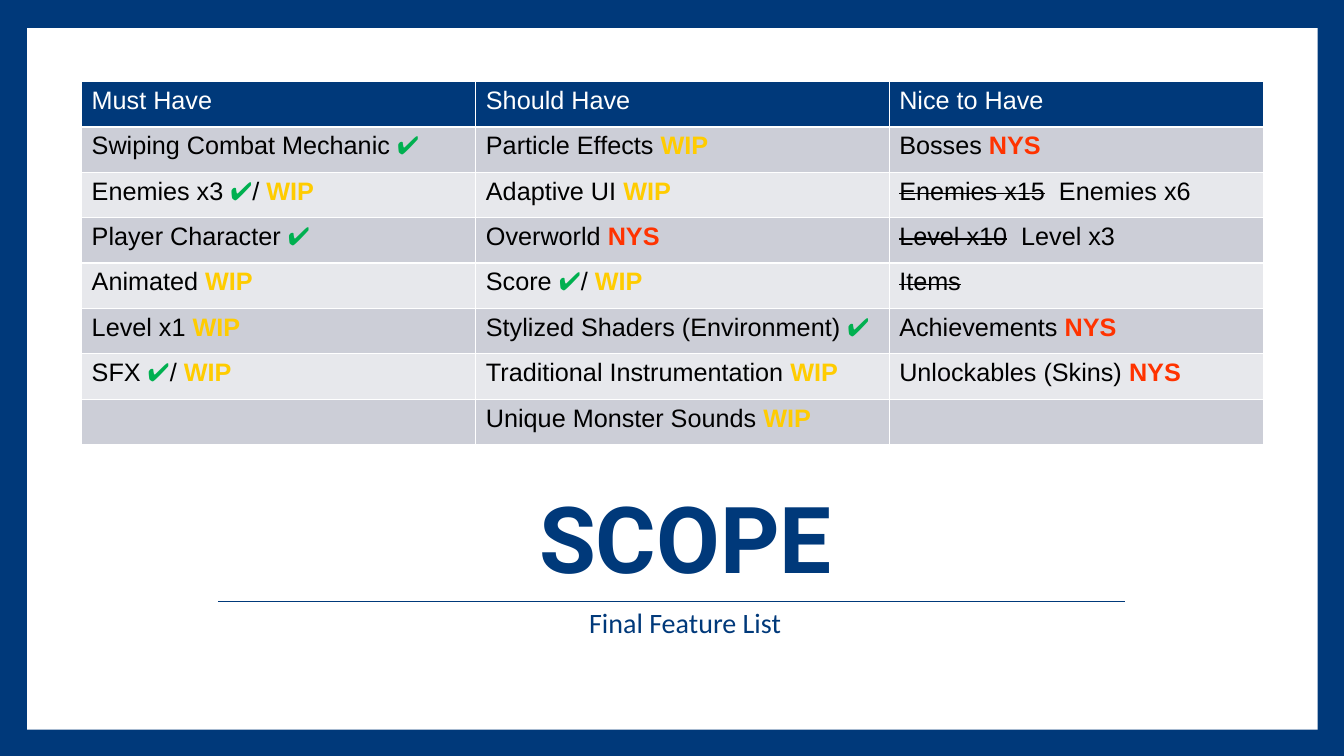
from lxml.etree import SubElement
from pptx import Presentation
from pptx.dml.color import RGBColor
from pptx.enum.shapes import MSO_CONNECTOR as Connector, MSO_SHAPE as Shape
from pptx.enum.text import MSO_ANCHOR as Anchor, MSO_AUTO_SIZE as AutoSize, PP_ALIGN as Align
from pptx.oxml.ns import qn
from pptx.util import Inches, Pt

NAVY, WHITE, BLACK = "00397A", "FFFFFF", "000000"
BANDS = ["CCCED7", "E7E8EC"]
DONE, WIP, NYS = "✔", "WIP", "NYS"
STATUS_COLORS = {DONE: "00B050", WIP: "FFCC00", NYS: "FF3300"}
DROPPED = {"Enemies x15", "Level x10", "Items"}
COLUMN_WIDTHS = [3.91, 4.1, 3.71]
ROW_HEIGHT = 0.45
FEATURES = [
    [["Must Have"], ["Should Have"], ["Nice to Have"]],
    [["Swiping Combat Mechanic ", DONE], ["Particle Effects ", WIP], ["Bosses ", NYS]],
    [["Enemies x3 ", DONE, "/ ", WIP], ["Adaptive UI ", WIP], ["Enemies x15", "  Enemies x6"]],
    [["Player Character ", DONE], ["Overworld ", NYS], ["Level x10", "  Level x3"]],
    [["Animated ", WIP], ["Score ", DONE, "/ ", WIP], ["Items"]],
    [["Level x1 ", WIP], ["Stylized Shaders (Environment) ", DONE], ["Achievements ", NYS]],
    [["SFX ", DONE, "/ ", WIP], ["Traditional Instrumentation ", WIP], ["Unlockables (Skins) ", NYS]],
    [[], ["Unique Monster Sounds ", WIP], []],
]


def paint(color_format, color):
    color_format.rgb = RGBColor.from_string(color)


def fill_solid(fill, color):
    fill.solid()
    paint(fill.fore_color, color)


def place(shape, left, top, width, height):
    shape.left, shape.top = Inches(left), Inches(top)
    shape.width, shape.height = Inches(width), Inches(height)


def add_panel(slide, left, top, width, height, color):
    panel = slide.shapes.add_shape(
        Shape.RECTANGLE, Inches(left), Inches(top), Inches(width), Inches(height))
    panel.shadow.inherit = False
    fill_solid(panel.fill, color)
    panel.line.fill.background()


def add_rule(slide, left, right, y):
    rule = slide.shapes.add_connector(
        Connector.STRAIGHT, Inches(left), Inches(y), Inches(right), Inches(y))
    paint(rule.line.color, NAVY)
    rule.line.width = Pt(0.79)
    SubElement(rule.element.spPr, qn("a:effectLst"))


def write_heading(shape, text, font_name, size, bold, spacing, anchor):
    frame = shape.text_frame
    frame.word_wrap = True
    frame.auto_size = AutoSize.NONE
    frame.vertical_anchor = anchor
    paragraph = frame.paragraphs[0]
    paragraph.text = text
    paragraph.alignment = Align.CENTER
    paragraph.line_spacing = spacing
    font = paragraph.font
    font.name, font.size, font.bold = font_name, Pt(size), bold
    paint(font.color, NAVY)


def write_feature(cell, parts, color):
    paragraph = cell.text_frame.paragraphs[0]
    paragraph.font.name, paragraph.font.size = "Arial", Pt(18)
    for part in parts:
        run = paragraph.add_run()
        run.text = part
        run.font.bold = part in (WIP, NYS)
        paint(run.font.color, STATUS_COLORS.get(part, color))
        if part in DROPPED:
            run.font._element.set("strike", "sngStrike")


def add_feature_table(slide, left, top):
    table = slide.shapes.add_table(
        len(FEATURES), len(COLUMN_WIDTHS), Inches(left), Inches(top),
        Inches(sum(COLUMN_WIDTHS)), Inches(ROW_HEIGHT * len(FEATURES))).table
    for column, width in zip(table.columns, COLUMN_WIDTHS):
        column.width = Inches(width)
    for row_index, features in enumerate(FEATURES):
        table.rows[row_index].height = Inches(ROW_HEIGHT)
        header = row_index == 0
        for column_index, parts in enumerate(features):
            cell = table.cell(row_index, column_index)
            fill_solid(cell.fill, NAVY if header else BANDS[(row_index - 1) % 2])
            write_feature(cell, parts, WHITE if header else BLACK)


def main():
    """Build the scope slide with its feature table."""
    presentation = Presentation()
    presentation.slide_width, presentation.slide_height = Inches(13.33), Inches(7.5)
    slide = presentation.slides.add_slide(presentation.slide_layouts[5])
    fill_solid(slide.background.fill, NAVY)
    add_panel(slide, 0, 0, 13.33, 7.5, NAVY)
    add_panel(slide, 0.27, 0.28, 12.8, 6.96, WHITE)
    add_rule(slide, 2.16, 11.16, 5.97)

    title = slide.shapes.title
    title.element.getparent().append(title.element)
    place(title, 1.35, 4.48, 10.9, 1.45)
    write_heading(title, "SCOPE", "Roboto", 66, True, 0.85, Anchor.BOTTOM)
    subtitle = slide.shapes.add_textbox(Inches(2), Inches(6), Inches(9.59), Inches(0.61))
    write_heading(subtitle, "Final Feature List", "Calibri", 20, False, 0.9, Anchor.TOP)

    add_feature_table(slide, 0.81, 0.81)
    presentation.save("out.pptx")


if __name__ == "__main__":
    main()
